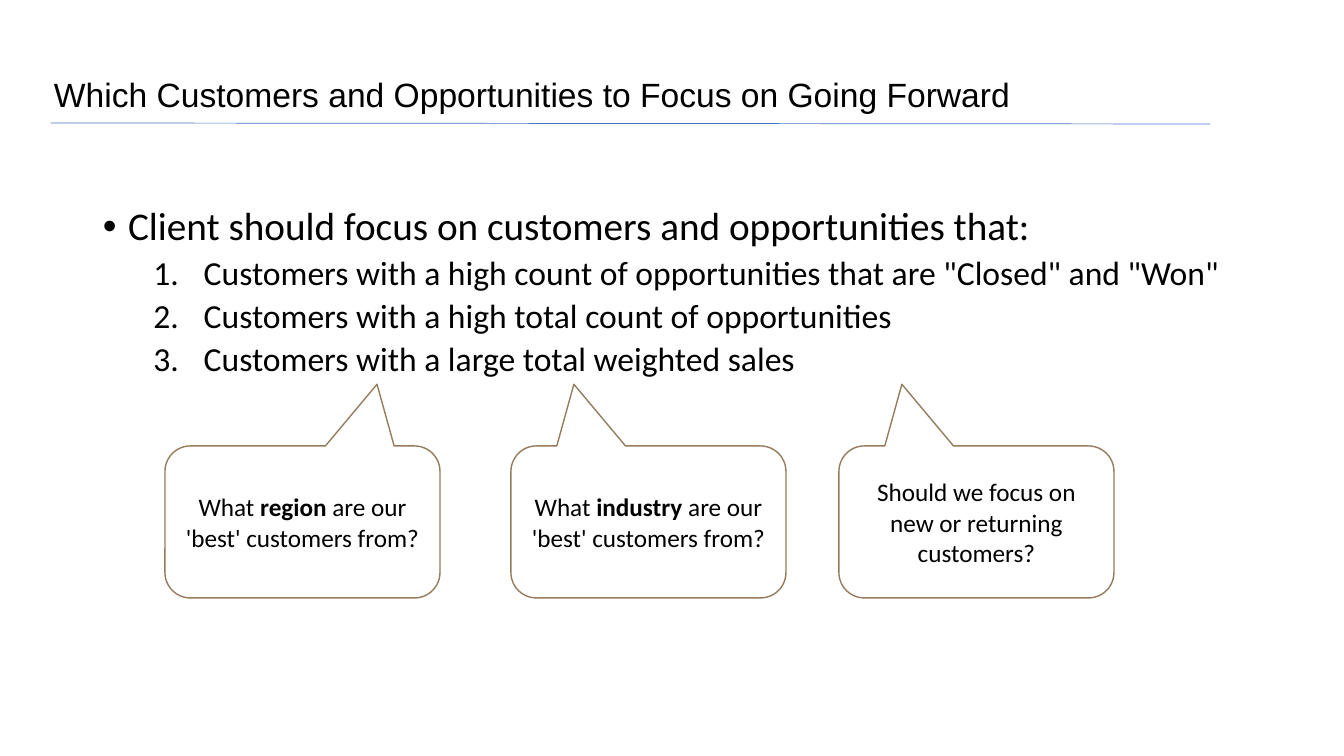
from lxml.etree import SubElement
from pptx import Presentation
from pptx.dml.color import RGBColor
from pptx.enum.shapes import MSO_CONNECTOR, MSO_SHAPE
from pptx.enum.text import MSO_ANCHOR, PP_ALIGN
from pptx.oxml.ns import qn
from pptx.util import Emu, Pt

EMU_PER_PX = 914400 / 100.8
COLORS = {"ink": "000000", "paper": "FFFFFF", "rule": "4472C4", "outline": "947C5C"}
HEADING = "Which Customers and Opportunities to Focus on Going Forward"
ADVICE = "Client should focus on customers and opportunities that:"
CRITERIA = [
    'Customers with a high count of opportunities that are "Closed" and "Won"',
    "Customers with a high total count of opportunities",
    "Customers with a large total weighted sales",
]
QUESTIONS = [
    (165, 0.271, [("What ", False), ("region ", True), ("are our 'best' customers from?", False)]),
    (511, -0.271, [("What ", False), ("industry ", True), ("are our 'best' customers from?", False)]),
    (839, -0.271, [("Should we focus on new or returning customers?", False)]),
]


def px(*lengths):
    """Turn pixel lengths into EMU."""
    return [Emu(round(length * EMU_PER_PX)) for length in lengths]


def color(key):
    """Look up a named colour."""
    return RGBColor.from_string(COLORS[key])


def apply_format(target, values):
    """Set each format value on the target."""
    for attribute, value in values.items():
        setattr(target, attribute, value)


def add_words(paragraph, words, size, font="Calibri", bold=False):
    """Append a formatted run to a paragraph."""
    run = paragraph.add_run()
    run.text = words
    apply_format(run.font, {"name": font, "size": Pt(size), "bold": bold})
    run.font.color.rgb = color("ink")


def add_frame(slide, box, anchor):
    """Add a wrapping text box and return its text frame."""
    frame = slide.shapes.add_textbox(*px(*box)).text_frame
    apply_format(frame, {"word_wrap": True, "vertical_anchor": anchor})
    return frame


def add_heading(slide):
    """Add the slide heading and the rule beneath it."""
    paragraph = add_frame(slide, (44, 42, 1159, 109), MSO_ANCHOR.MIDDLE).paragraphs[0]
    paragraph.line_spacing = 0.9
    add_words(paragraph, HEADING, 24, "Arial")
    rule = slide.shapes.add_connector(MSO_CONNECTOR.STRAIGHT, *px(51, 123, 1210, 124))
    rule.line.width = Pt(0.5)
    rule.line.color.rgb = color("rule")
    SubElement(rule._element.spPr, qn("a:effectLst"))


def add_item(paragraph, words, size, space, level, margin, hanging, marker, **marker_values):
    """Fill a paragraph as a list item with a hanging marker."""
    apply_format(paragraph, {"line_spacing": 0.9, "space_before": Pt(space), "level": level})
    properties = paragraph._p.get_or_add_pPr()
    properties.set("marL", str(Pt(margin)))
    properties.set("indent", str(-Pt(hanging)))
    if marker == "a:buChar":
        SubElement(properties, qn("a:buFont"), typeface="Arial")
    SubElement(properties, qn(marker), **marker_values)
    add_words(paragraph, words, size)


def add_advice(slide):
    """Add the advice with its numbered criteria."""
    frame = add_frame(slide, (93, 202, 1159, 235), MSO_ANCHOR.TOP)
    add_item(frame.paragraphs[0], ADVICE, 28, 10, 0, 18, 18, "a:buChar", char="•")
    for criterion in CRITERIA:
        add_item(frame.add_paragraph(), criterion, 24, 5, 1, 72, 36,
                 "a:buAutoNum", type="arabicPeriod")


def add_question(slide, left, tip, parts):
    """Add a callout whose tip points up to the criteria."""
    callout = slide.shapes.add_shape(
        MSO_SHAPE.ROUNDED_RECTANGULAR_CALLOUT, *px(left, 446, 275, 152))
    for index, adjustment in enumerate((tip, -0.906, 0.167)):
        callout.adjustments[index] = adjustment
    callout.shadow.inherit = False
    callout.fill.solid()
    callout.fill.fore_color.rgb = color("paper")
    callout.line.width = Pt(1)
    callout.line.color.rgb = color("outline")
    frame = callout.text_frame
    apply_format(frame, {"word_wrap": True, "vertical_anchor": MSO_ANCHOR.MIDDLE})
    question = frame.paragraphs[0]
    question.alignment = PP_ALIGN.CENTER
    for words, bold in parts:
        add_words(question, words, 18, bold=bold)


def main():
    """Build the slide and save it."""
    deck = Presentation()
    deck.slide_width, deck.slide_height = px(1344, 756)
    slide = deck.slides.add_slide(deck.slide_layouts[6])
    add_heading(slide)
    add_advice(slide)
    for left, tip, parts in QUESTIONS:
        add_question(slide, left, tip, parts)
    deck.save("out.pptx")


if __name__ == "__main__":
    main()
